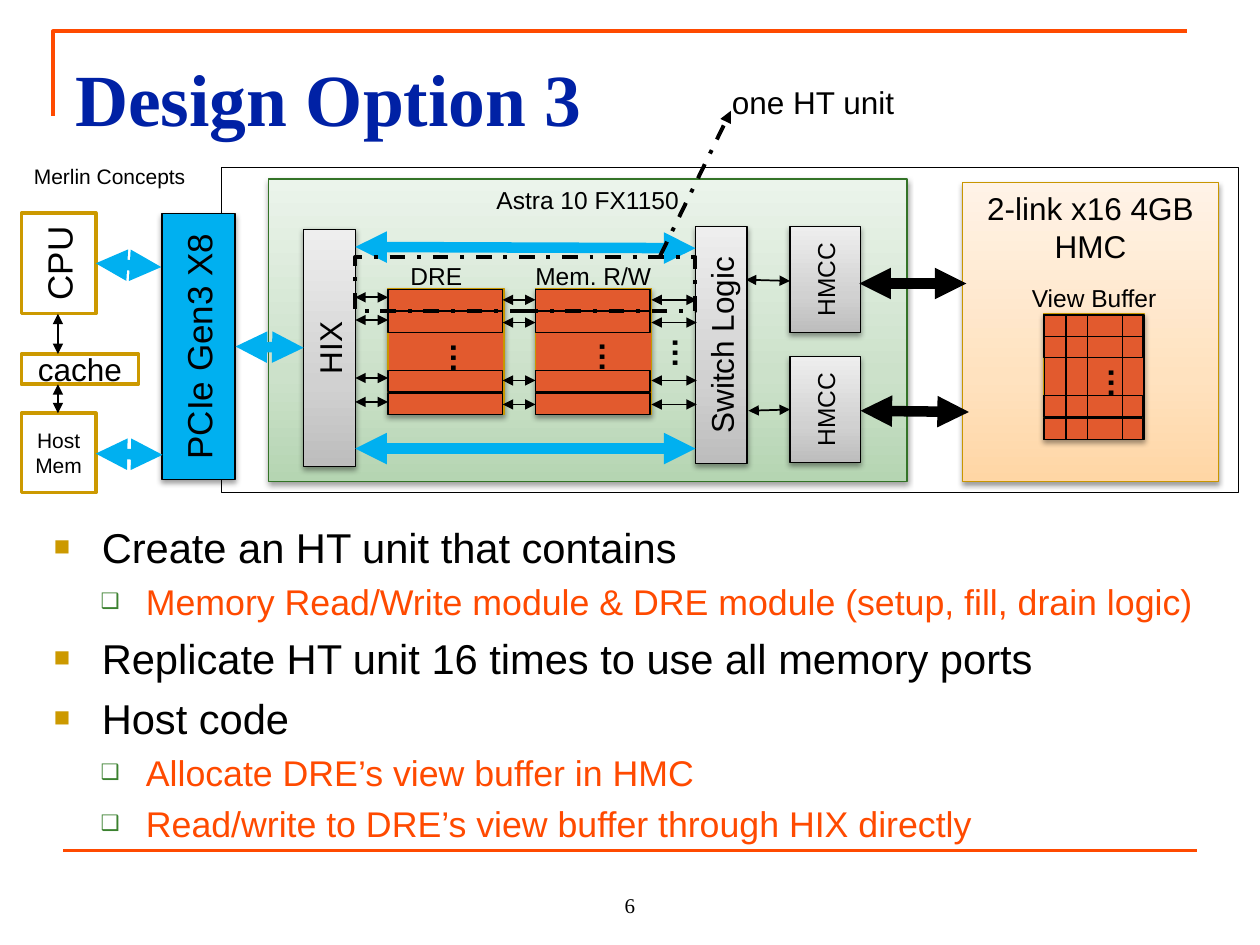
from lxml.etree import SubElement
from pptx import Presentation
from pptx.dml.color import RGBColor
from pptx.enum.dml import MSO_LINE
from pptx.enum.shapes import MSO_CONNECTOR, MSO_SHAPE
from pptx.enum.text import MSO_ANCHOR, PP_ALIGN
from pptx.oxml import parse_xml
from pptx.oxml.ns import nsdecls, qn
from pptx.util import Inches, Pt

COLORS = {
    "black": "000000", "white": "FFFFFF", "orange": "FF4A00", "navy": "0021A5",
    "gold": "CC9900", "amber": "C89600", "green": "337327", "leaf": "3B812F",
    "sky": "00B0F0", "brick": "E25A2E",
}
GRADIENTS = {
    "meadow": ("B5D5B2", "CCE1CA", "EBF4EB"),
    "peach": ("FFD6A5", "FFE2BF", "FFF3E7"),
    "steel": ("BDBDBD", "D1D1D1", "EEEEEE"),
}
COLUMNS, ROWS = 100, 75
WIDTH, HEIGHT = Inches(10), Inches(7.5)

TITLE = "Design Option 3"
BULLETS = [
    (0, "Create an HT unit that contains"),
    (1, "Memory Read/Write module & DRE module (setup, fill, drain logic)"),
    (0, "Replicate HT unit 16 times to use all memory ports"),
    (0, "Host code"),
    (1, "Allocate DRE’s view buffer in HMC"),
    (1, "Read/write to DRE’s view buffer through HIX directly"),
]
LEVELS = [
    dict(left=0.38, hang=0.38, mark="■", mark_color="gold", scale=65, size=23.8, color="black", before=5.6),
    dict(left=0.73, hang=0.36, mark="❑", mark_color="leaf", scale=60, size=20.4, color="orange", before=4.8),
]
BLOCKS = [
    ((17.6, 13.3, 80.7, 25.8), "", 12, {}),
    ((5.2, 24.6, 21.1, 5.8), "PCIe Gen3 X8", 20, dict(fill="sky", shadow=True, turn=270)),
    ((21.3, 14.2, 50.7, 24), "Astra 10 FX1150", 14, dict(fill="meadow", line="green", shadow=True, top=True)),
    ((76.4, 14.5, 20.3, 23.7), "2-link x16 4GB HMC", 18, dict(fill="peach", line="amber", shadow=True, top=True)),
    ((24.1, 18.2, 4.1, 18.8), "HIX", 18, dict(fill="steel", shadow=True, vert="vert270")),
    ((62.7, 18, 5.6, 8.4), "HMCC", 14, dict(fill="steel", shadow=True, vert="vert270")),
    ((62.7, 28.3, 5.6, 8.4), "HMCC", 14, dict(fill="steel", shadow=True, vert="vert270")),
    ((55.2, 18, 4.1, 18.8), "Switch Logic", 18, dict(fill="steel", shadow=True, vert="vert270")),
    ((1.7, 16.9, 5.9, 8), "CPU", 20, dict(fill="white", line="gold", weight=2, vert="vert270")),
    ((1.7, 28.1, 9.3, 2.4), "cache", 18, dict(fill="white", line="gold", weight=2)),
    ((1.7, 32.8, 5.9, 6.3), "Host Mem", 12, dict(fill="white", line="gold", weight=2)),
]
STACKS = [(42.5, 22.9, 9.2), (30.8, 22.9, 9.2), (82.8, 24.9, 8)]
STACK_HEIGHT, CELL = 10, 1.7
CELL_ROWS = (0.1, 1.8, 6.5, 8.3)
VIEW_COLUMNS = (82.9, 84.6, 89.1)
LABELS = [
    ((41.5, 20.2, 13.6, 3.4), "Mem. R/W", 14),
    ((31.6, 20.2, 7.7, 3.4), "DRE", 14),
    ((80.9, 22, 13.5, 3.4), "View Buffer", 14),
    ((1.7, 12.5, 15.9, 3), "Merlin Concepts", 12),
    ((57.1, 6.1, 20.1, 4), "one HT unit", 18),
]
ELLIPSES = [(47, 26.1), (52.8, 25.8), (35.2, 26.2), (87.4, 28.2)]
BUSES = {
    ("sky", 6): [
        (18.7, 27.5, 24.1, 27.6), (28.2, 35.6, 55.2, 35.6), (28.2, 19.6, 55.2, 19.7),
        (7.6, 20.9, 12.8, 21.2), (7.6, 36, 12.9, 36.1),
    ],
    ("black", 6): [(68.2, 22.5, 76.7, 22.5), (68.3, 32.6, 76.9, 32.7)],
    ("black", 1): [(59.2, 22.2, 62.7, 22.3), (59.4, 32.6, 62.7, 32.5)],
    ("black", 0.75): [(4.6, 24.9, 4.6, 28.1), (4.6, 30.5, 4.6, 32.8)],
}
PORTS = [(28.2, 30.8, 23.6), (39.9, 42.5, 23.8), (51.7, 55.3, 23.8)]
PORT_STEPS = (0, 1.8, 6.4, 8.3)
HT_UNIT = (28.2, 20.4, 27, 4.3)
POINTER = (52.4, 20.3, 58, 8.8)


def rgb(name):
    return RGBColor.from_string(COLORS[name])


def place(values):
    return [round(v * (HEIGHT / ROWS if i % 2 else WIDTH / COLUMNS)) for i, v in enumerate(values)]


def effects(shape, shadow=False):
    node = SubElement(shape._element.spPr, qn("a:effectLst"))
    if shadow:
        cast = SubElement(node, qn("a:outerShdw"), blurRad="40000", dist="20000", dir="5400000", rotWithShape="0")
        tone = SubElement(cast, qn("a:srgbClr"), val=COLORS["black"])
        SubElement(tone, qn("a:alpha"), val="38000")


def paint(shape, name):
    if name in GRADIENTS:
        stops = "".join(
            f'<a:gs pos="{pos}"><a:srgbClr val="{tone}"/></a:gs>'
            for pos, tone in zip((0, 35000, 100000), GRADIENTS[name])
        )
        shape._element.spPr.find(qn("a:prstGeom")).addnext(parse_xml(
            f'<a:gradFill {nsdecls("a")} rotWithShape="1"><a:gsLst>{stops}</a:gsLst>'
            '<a:lin ang="16200000" scaled="0"/></a:gradFill>'))
    elif name:
        shape.fill.solid()
        shape.fill.fore_color.rgb = rgb(name)
    else:
        shape.fill.background()


def write(para, text, size, color="black", font="Arial", bold=False):
    span = para.add_run()
    span.text = text
    span.font.name, span.font.size, span.font.bold = font, Pt(size), bold
    span.font.color.rgb = rgb(color)


def block(page, area, text="", size=12, fill=None, line="black", weight=0.75,
          shadow=False, turn=0, vert=None, top=False, dash=None):
    shape = page.shapes.add_shape(MSO_SHAPE.RECTANGLE, *place(area))
    shape.rotation = turn
    paint(shape, fill)
    shape.line.color.rgb = rgb(line)
    shape.line.width = Pt(weight)
    if dash:
        shape.line.dash_style = dash
    effects(shape, shadow)
    if text:
        frame = shape.text_frame
        frame.word_wrap = True
        frame.vertical_anchor = MSO_ANCHOR.TOP if top else MSO_ANCHOR.MIDDLE
        if vert:
            frame._txBody.bodyPr.set("vert", vert)
        frame.paragraphs[0].alignment = PP_ALIGN.CENTER
        write(frame.paragraphs[0], text, size)


def text_box(page, area):
    frame = page.shapes.add_textbox(*place(area)).text_frame
    frame.word_wrap = True
    return frame


def connect(page, ends, color, weight, arrows=(), dash=None):
    link = page.shapes.add_connector(MSO_CONNECTOR.STRAIGHT, *place(ends))
    link.line.color.rgb = rgb(color)
    link.line.width = Pt(weight)
    if dash:
        link.line.dash_style = dash
    for end in arrows:
        SubElement(link.line._get_or_add_ln(), qn(f"a:{end}"), type="triangle")
    effects(link)


def add_bullets(page):
    frame = text_box(page, (3.3, 40.9, 93.3, 26.2))
    for i, (level, text) in enumerate(BULLETS):
        style = LEVELS[level]
        para = frame.add_paragraph() if i else frame.paragraphs[0]
        para.level = level
        para.space_before = Pt(style["before"] if i else 0)
        props = para._p.get_or_add_pPr()
        props.set("marL", str(Inches(style["left"])))
        props.set("indent", str(-Inches(style["hang"])))
        tint = SubElement(props, qn("a:buClr"))
        SubElement(tint, qn("a:srgbClr"), val=COLORS[style["mark_color"]])
        SubElement(props, qn("a:buSzPct"), val=str(style["scale"] * 1000))
        SubElement(props, qn("a:buFont"), typeface="Arial")
        SubElement(props, qn("a:buChar"), char=style["mark"])
        write(para, text, style["size"], style["color"])


def add_outline(page):
    corner = [place(point) for point in ((4.2, 9.2), (4.2, 2.5), (94.2, 2.5))]
    builder = page.shapes.build_freeform(*corner[0])
    builder.add_line_segments(corner[1:], close=False)
    bracket = builder.convert_to_shape()
    bracket.fill.background()
    bracket.line.color.rgb = rgb("orange")
    bracket.line.width = Pt(2.25)
    effects(bracket)
    connect(page, (5, 67.5, 95, 67.5), "orange", 2.25)
    title = text_box(page, (5, 3, 90, 10.3))
    title.margin_top = Inches(0.12)
    write(title.paragraphs[0], TITLE, 42, "navy", "Times New Roman", True)
    number = text_box(page, (40, 68.3, 20, 5))
    number.vertical_anchor = MSO_ANCHOR.BOTTOM
    number.paragraphs[0].alignment = PP_ALIGN.CENTER
    write(number.paragraphs[0], "6", 12, font="Times New Roman")


def add_diagram(page):
    for area, text, size, style in BLOCKS:
        block(page, area, text, size, **style)
    for left, top, width in STACKS:
        block(page, (left, top, width, STACK_HEIGHT), fill="brick", line="amber", shadow=True)
        for offset in CELL_ROWS:
            block(page, (left, top + offset, width - 0.1, CELL))
    length = STACK_HEIGHT - 0.1
    for left in VIEW_COLUMNS:
        shift = (length - CELL) / 2
        block(page, (left - shift, 25 + shift, length, CELL), turn=90)
    for area, text, size in LABELS:
        write(text_box(page, area).paragraphs[0], text, size)
    for left, top in ELLIPSES:
        frame = text_box(page, (left, top, 3.6, 4))
        frame._txBody.bodyPr.set("vert", "vert")
        write(frame.paragraphs[0], "…", 18, bold=True)
    both = ("headEnd", "tailEnd")
    for (color, weight), links in BUSES.items():
        for ends in links:
            connect(page, ends, color, weight, both)
    for start, stop, top in PORTS:
        for step in PORT_STEPS:
            connect(page, (start, top + step, stop, top + step), "black", 1, both)
    block(page, HT_UNIT, weight=2.25, dash=MSO_LINE.DASH_DOT)
    connect(page, POINTER, "black", 2.25, ("tailEnd",), MSO_LINE.DASH_DOT)


def main():
    deck = Presentation()
    deck.slide_width, deck.slide_height = WIDTH, HEIGHT
    page = deck.slides.add_slide(deck.slide_layouts[6])
    add_outline(page)
    add_bullets(page)
    add_diagram(page)
    deck.save("out.pptx")


if __name__ == "__main__":
    main()
